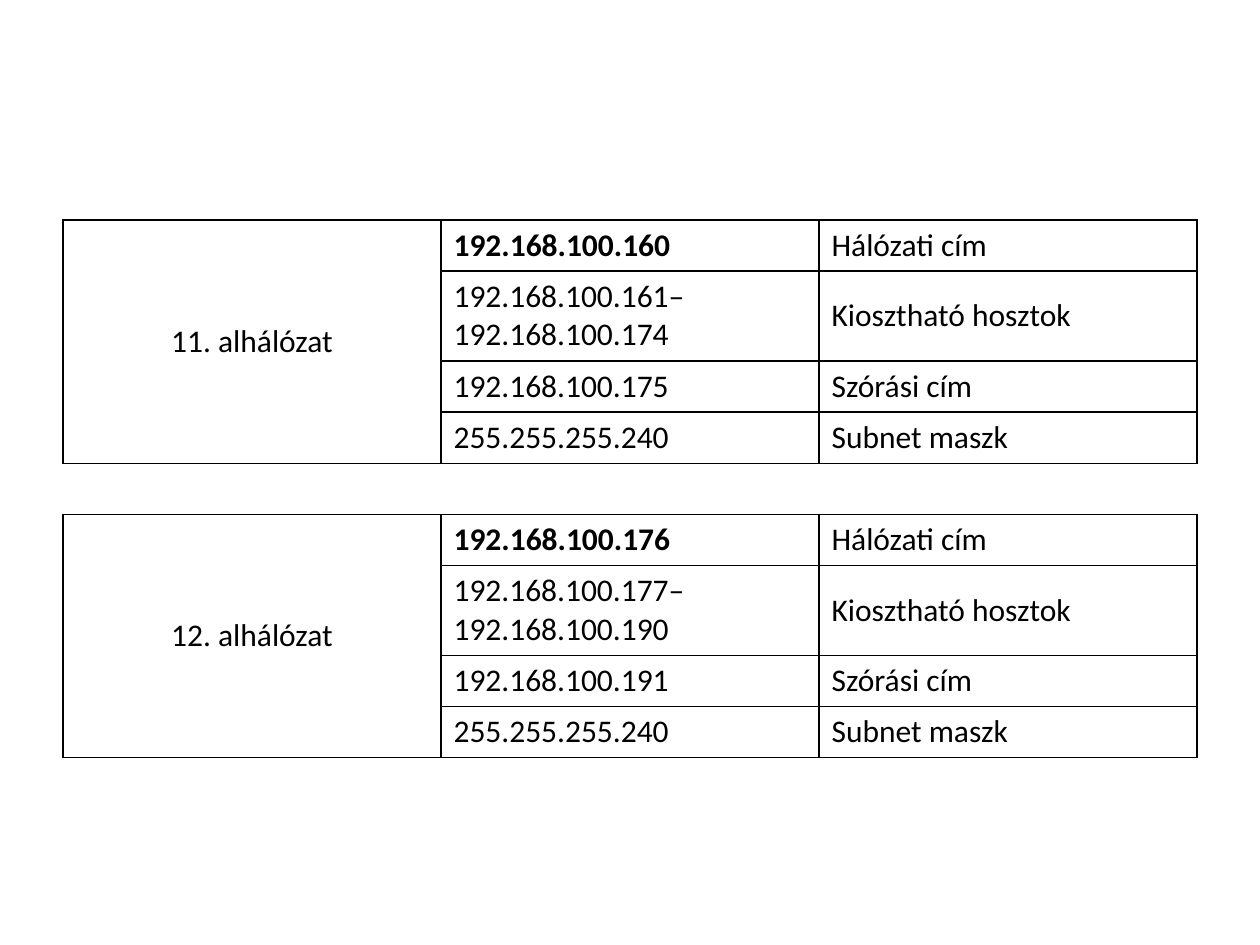
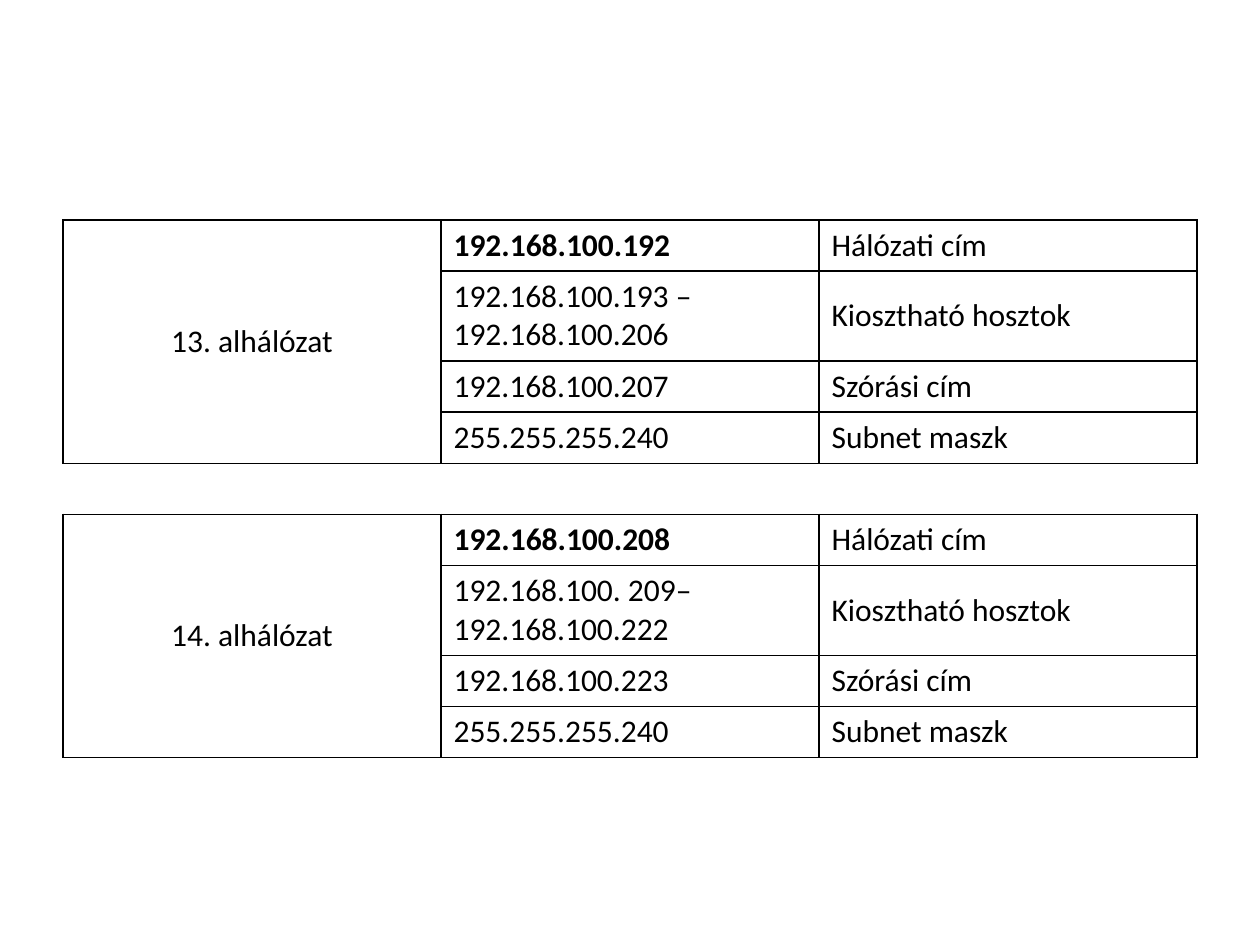
import pptx
import pptx.dml.color
import pptx.enum.text
import pptx.util
from pptx.oxml import parse_xml
from pptx.oxml.ns import nsdecls

BLACK = pptx.dml.color.RGBColor(0x00, 0x00, 0x00)
EMU_PER_PX = 914400 / 126
BLANK_LAYOUT = 6

ROLES = ["Hálózati cím", "Kiosztható hosztok", "Szórási cím", "Subnet maszk"]
MASK = "255.255.255.240"
# Each subnet: name, network address, host range, broadcast address
SLIDES = [
    [
        ("11. alhálózat", "192.168.100.160",
         "192.168.100.161–\n192.168.100.174", "192.168.100.175"),
        ("12. alhálózat", "192.168.100.176",
         "192.168.100.177–\n192.168.100.190", "192.168.100.191"),
    ],
    [
        ("13. alhálózat", "192.168.100.192",
         "192.168.100.193 –\n192.168.100.206", "192.168.100.207"),
        ("14. alhálózat", "192.168.100.208",
         "192.168.100. 209–\n192.168.100.222", "192.168.100.223"),
    ],
]


def px(length):
    return pptx.util.Emu(round(length * EMU_PER_PX))


def write_text(cell, text, bold=False, centred=False, middle=False,
               font="Calibri", size=18, color=BLACK):
    """Fill a cell, with one paragraph for each line of text."""
    if middle:
        cell.vertical_anchor = pptx.enum.text.MSO_ANCHOR.MIDDLE
    cell.text_frame.text = text
    for paragraph in cell.text_frame.paragraphs:
        if centred:
            paragraph.alignment = pptx.enum.text.PP_ALIGN.CENTER
        for run in paragraph.runs:
            run.font.name = font
            run.font.size = pptx.util.Pt(size)
            run.font.bold = bold
            run.font.color.rgb = color


def style_cell(cell, sides="LRTB", color=BLACK, width=1):
    """Draw the named sides only and leave the cell unfilled."""
    properties = cell._tc.get_or_add_tcPr()
    for side in "LRTB":
        paint = (f'<a:solidFill><a:srgbClr val="{color}"/></a:solidFill>'
                 if side in sides else "<a:noFill/>")
        properties.append(parse_xml(
            f'<a:ln{side} {nsdecls("a")} w="{pptx.util.Pt(width)}">{paint}</a:ln{side}>'))
    cell.fill.background()


class SubnetDeck:
    LEFT, TOP = 63, 220
    COLUMN_WIDTH = 378
    ROW_HEIGHT, HOSTS_ROW_HEIGHT = 51, 90

    def __init__(self):
        self.presentation = pptx.Presentation()
        self.presentation.slide_width = px(1260)
        self.presentation.slide_height = px(945)
        self.slide = None

    def add_slide(self):
        layout = self.presentation.slide_layouts[BLANK_LAYOUT]
        self.slide = self.presentation.slides.add_slide(layout)

    def add_subnet_table(self, subnets):
        """Stack the subnets in one table, with an open row between them."""
        block = len(ROLES) + 1
        row_count = block * len(subnets) - 1
        heights = [self.HOSTS_ROW_HEIGHT if row % block == 1 else self.ROW_HEIGHT
                   for row in range(row_count)]
        table = self.slide.shapes.add_table(
            row_count, 3, px(self.LEFT), px(self.TOP),
            px(3 * self.COLUMN_WIDTH), px(sum(heights))).table
        table.first_row = table.horz_banding = False
        for column in table.columns:
            column.width = px(self.COLUMN_WIDTH)
        for index, (row, height) in enumerate(zip(table.rows, heights)):
            row.height = px(height)
            is_gap = index % block == len(ROLES)
            for cell in row.cells:
                style_cell(cell, sides="TB" if is_gap else "LRTB")
        for number, subnet in enumerate(subnets):
            self.fill_subnet(table, number * block, *subnet)

    def fill_subnet(self, table, first_row, name, network, hosts, broadcast):
        name_cell = table.cell(first_row, 0)
        name_cell.merge(table.cell(first_row + len(ROLES) - 1, 0))
        write_text(name_cell, name, centred=True, middle=True)
        addresses = [network, hosts, broadcast, MASK]
        for row, (address, role) in enumerate(zip(addresses, ROLES), first_row):
            write_text(table.cell(row, 1), address, bold=address == network)
            write_text(table.cell(row, 2), role, middle=True)


def main():
    deck = SubnetDeck()
    for subnets in SLIDES:
        deck.add_slide()
        deck.add_subnet_table(subnets)
    deck.presentation.save("out.pptx")


if __name__ == "__main__":
    main()
